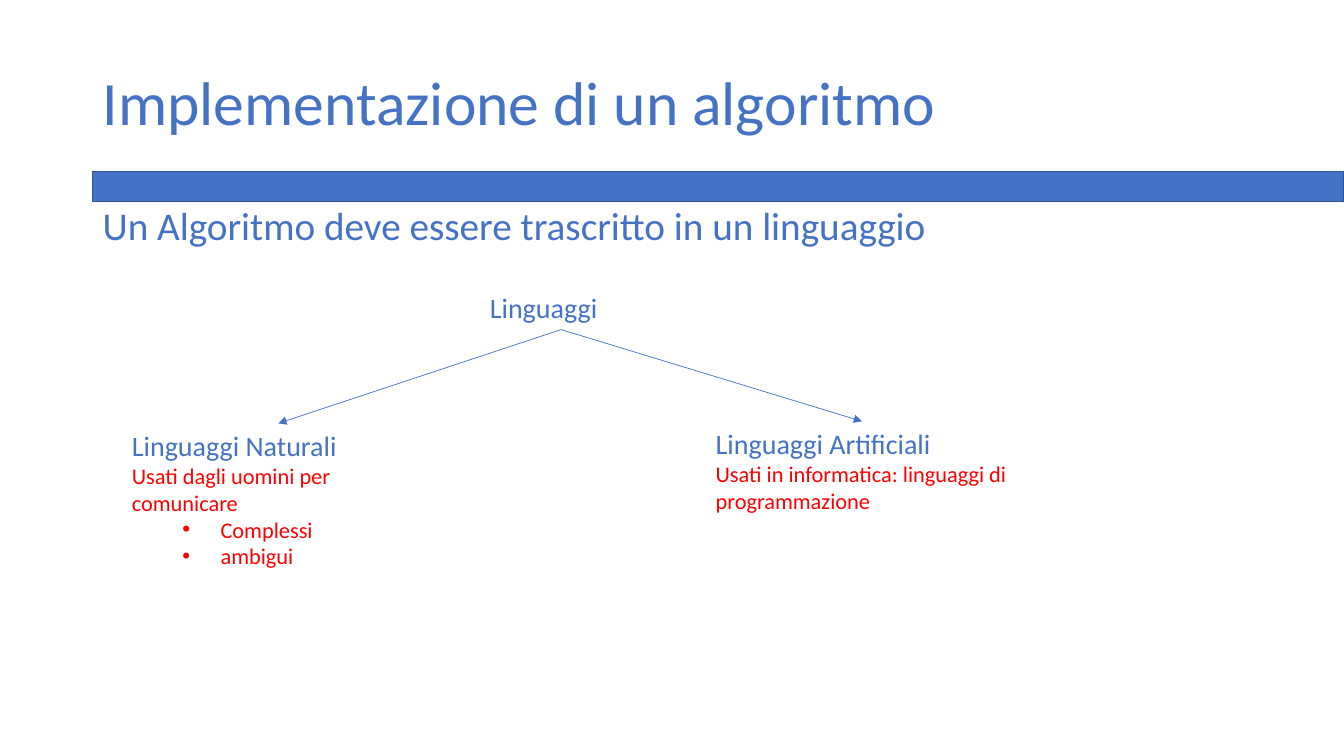
from lxml import etree
from pptx import Presentation
from pptx.dml.color import RGBColor
from pptx.enum.shapes import MSO_CONNECTOR, MSO_SHAPE
from pptx.enum.text import MSO_ANCHOR, PP_ALIGN
from pptx.oxml.ns import qn
from pptx.util import Inches, Pt

STRAIGHT = MSO_CONNECTOR.STRAIGHT
RECTANGLE = MSO_SHAPE.RECTANGLE
MIDDLE, TOP = MSO_ANCHOR.MIDDLE, MSO_ANCHOR.TOP
LEFT = PP_ALIGN.LEFT

WIDTH, HEIGHT = 13.33, 7.5
MARGIN = 0.92
CONTENT_WIDTH = 11.5
BAR_TOP, BAR_HEIGHT = 1.7, 0.3
BLUE, DARK_BLUE, RED = "4472C4", "325491", "FF0000"
FONT = "Calibri"


def color(value):
    return RGBColor.from_string(value)


def inches(box):
    return [Inches(length) for length in box]


def format_paragraph(paragraph, size, text_color, line_spacing=1.0):
    paragraph.alignment = LEFT
    paragraph.line_spacing = line_spacing
    paragraph.space_before = Pt(0)
    for run in paragraph.runs:
        run.font.name = FONT
        run.font.size = Pt(size)
        run.font.color.rgb = color(text_color)


def add_bullet(paragraph):
    paragraph.level = 1
    properties = paragraph._p.get_or_add_pPr()
    properties.set("marL", str(Inches(0.88)))
    properties.set("indent", str(Inches(-0.38)))
    etree.SubElement(properties, qn("a:buFont")).set("typeface", "Arial")
    etree.SubElement(properties, qn("a:buChar")).set("char", "•")


def add_text(slide, box, text, size):
    shape = slide.shapes.add_textbox(*inches(box))
    frame = shape.text_frame
    frame.word_wrap = True
    frame.text = text
    format_paragraph(frame.paragraphs[0], size, BLUE)
    return frame


# Title, separating bar and subtitle
def add_heading(slide, title_text, subtitle_text):
    bar_box = (MARGIN, BAR_TOP, WIDTH - MARGIN, BAR_HEIGHT)
    bar = slide.shapes.add_shape(RECTANGLE, *inches(bar_box))
    bar.shadow.inherit = False
    bar.fill.solid()
    bar.fill.fore_color.rgb = color(BLUE)
    bar.line.color.rgb = color(DARK_BLUE)
    bar.line.width = Pt(1)

    title = slide.shapes.title
    title_box = (MARGIN, 0.4, CONTENT_WIDTH, BAR_TOP - 0.4)
    title.left, title.top, title.width, title.height = inches(title_box)
    title.text_frame.text = title_text
    title.text_frame.word_wrap = True
    title.text_frame.vertical_anchor = MIDDLE
    format_paragraph(title.text_frame.paragraphs[0], 44, BLUE, 0.9)

    subtitle_box = (MARGIN, BAR_TOP + BAR_HEIGHT, CONTENT_WIDTH, 0.53)
    subtitle = add_text(slide, subtitle_box, subtitle_text, 28)
    subtitle.vertical_anchor = TOP
    subtitle.paragraphs[0].line_spacing = 0.9


# One branch of the tree: name, description and bullets
def add_branch(slide, box, name, description, bullets=()):
    frame = add_text(slide, box, name, 20)
    for index, text in enumerate((description, *bullets)):
        paragraph = frame.add_paragraph()
        paragraph.text = text
        if index > 0:
            add_bullet(paragraph)
        format_paragraph(paragraph, 16, RED)


def add_arrow(slide, start, end):
    arrow = slide.shapes.add_connector(STRAIGHT, *inches(start + end))
    arrow.line.color.rgb = color(BLUE)
    arrow.line.width = Pt(0.5)
    line = arrow.line._get_or_add_ln()
    etree.SubElement(line, qn("a:tailEnd")).set("type", "triangle")
    etree.SubElement(arrow._element.spPr, qn("a:effectLst"))


# Root of the tree with an arrow to the top of each branch
def add_tree(slide, root_box, root_text, branches):
    left, top, width, height = root_box
    add_text(slide, root_box, root_text, 20)
    for box, name, description, bullets in branches:
        add_branch(slide, box, name, description, bullets)
        add_arrow(slide, (left + width / 2, top + height),
                  (box[0] + box[2] / 2, box[1]))


def main():
    presentation = Presentation()
    presentation.slide_width = Inches(WIDTH)
    presentation.slide_height = Inches(HEIGHT)
    slide = presentation.slides.add_slide(presentation.slide_layouts[5])
    add_heading(slide, "Implementazione di un algoritmo",
                "Un Algoritmo deve essere trascritto in un linguaggio")
    branches = [
        ((1.21, 4.2, 3.1, 1.51), "Linguaggi Naturali",
         "Usati dagli uomini per comunicare", ("Complessi", "ambigui")),
        ((7, 4.18, 3.1, 0.98), "Linguaggi Artificiali",
         "Usati in informatica: linguaggi di programmazione", ()),
    ]
    add_tree(slide, (4.76, 2.83, 1.61, 0.44), "Linguaggi", branches)
    presentation.save("out.pptx")


if __name__ == "__main__":
    main()
